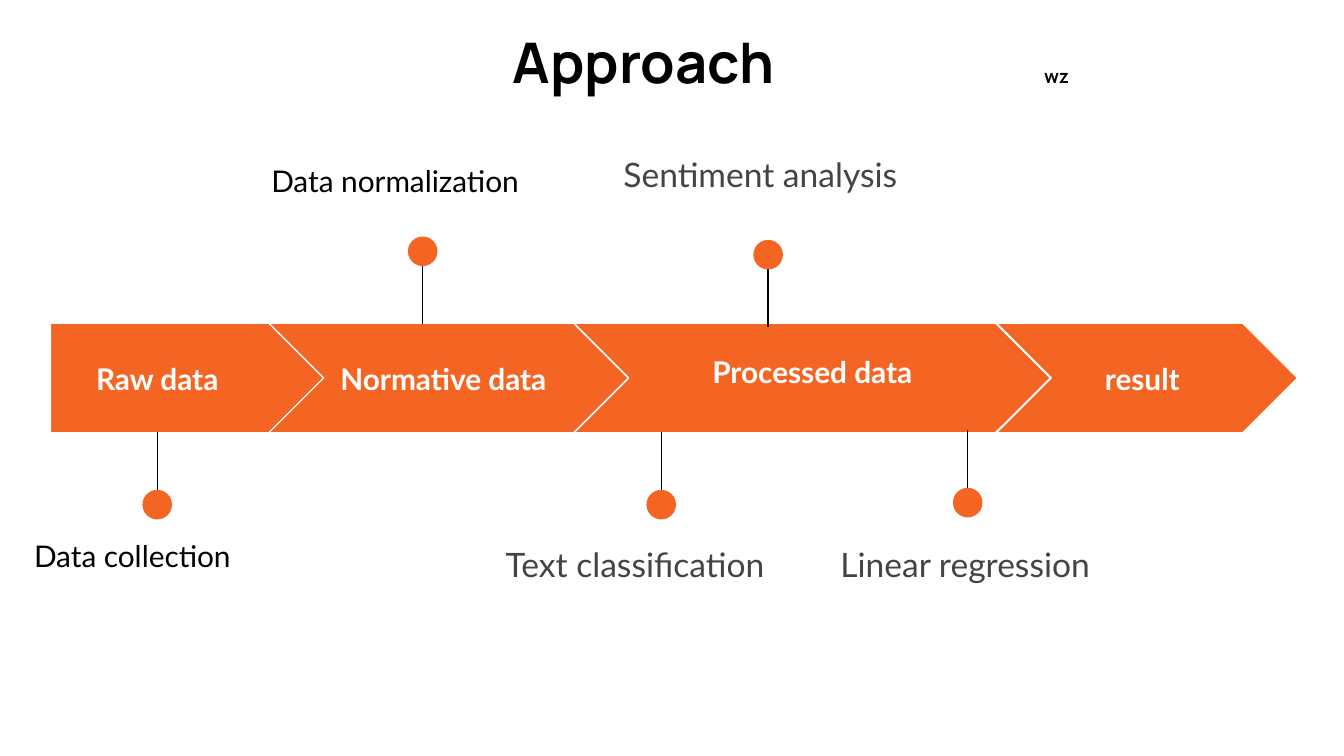
from lxml.etree import SubElement
from pptx import Presentation
from pptx.dml.color import RGBColor
from pptx.enum.shapes import MSO_CONNECTOR as Line, MSO_SHAPE as Shape
from pptx.enum.text import MSO_ANCHOR as Anchor, MSO_AUTO_SIZE as Fit, PP_ALIGN as Align
from pptx.oxml.ns import qn
from pptx.util import Pt

PX = 4572
PAGE = (2000, 1125)
COLORS = {"accent": "F46524", "white": "FFFFFF", "black": "000000", "gray": "444444"}
FRAME = {"word_wrap": True, "auto_size": Fit.NONE, "margin_left": 20 * PX,
         "margin_right": 20 * PX, "margin_top": 20 * PX, "margin_bottom": 20 * PX}
STAGE_FONT = {"name": "Lato", "size": Pt(16), "bold": True}
SMALL_NOTE = {"name": "Lato", "size": Pt(16)}
LARGE_NOTE = {"name": "Lato", "size": Pt(18)}
TITLE_FONT = {"name": "Manrope", "size": Pt(30), "bold": True}
TITLE_TABS = (351, 1142)
STAGE_TOP, STAGE_HEIGHT = 481, 163
DOT = 44
PIN_HEIGHT = 130
DOT_OVERLAP = 8

STAGES = [
    ("Raw data", Shape.PENTAGON, 75, 410, (75, 512, 318, 102)),
    ("Processed data", Shape.CHEVRON, 854, 709, (982, 502, 454, 102)),
    ("result", Shape.CHEVRON, 1483, 448, (1556, 512, 288, 102)),
    ("Normative data", Shape.CHEVRON, 400, 535, (436, 522, 448, 82)),
]
CALLOUTS = [
    ("Data normalization", (607, 352), True, (384, 214, 490, 130), SMALL_NOTE, "black"),
    ("Text classification", (962, 643), False, (733, 781, 534, 164), LARGE_NOTE, "gray"),
    ("Sentiment analysis", (1121, 357), True, (908, 200, 490, 118), LARGE_NOTE, "gray"),
    ("Linear regression", (1418, 640), False, (1231, 781, 490, 198), LARGE_NOTE, "gray"),
    ("Data collection", (212, 643), False, (31, 772, 534, 164), SMALL_NOTE, "black"),
]


def emu(box):
    return [value * PX for value in box]


def rgb(name):
    return RGBColor.from_string(COLORS[name])


def apply(target, values):
    for name, value in values.items():
        setattr(target, name, value)


def add_span(para, text, font, color):
    span = para.add_run()
    span.text = text
    apply(span.font, font)
    span.font.color.rgb = rgb(color)


def add_label(page, box, text, font, color, frame_format, para_format):
    frame = page.shapes.add_textbox(*emu(box)).text_frame
    apply(frame, FRAME | frame_format)
    para = frame.paragraphs[0]
    apply(para, para_format)
    add_span(para, text, font, color)


def add_solid(shapes, kind, box):
    shape = shapes.add_shape(kind, *emu(box))
    shape.shadow.inherit = False
    shape.fill.solid()
    shape.fill.fore_color.rgb = rgb("accent")
    return shape


def add_title(page, box):
    title = page.shapes.title
    apply(title, dict(zip(("left", "top", "width", "height"), emu(box))))
    apply(title.text_frame, FRAME | {"vertical_anchor": Anchor.TOP})
    para = title.text_frame.paragraphs[0]
    para.alignment = Align.LEFT
    tabs = SubElement(para._p.get_or_add_pPr(), qn("a:tabLst"))
    for stop in TITLE_TABS:
        SubElement(tabs, qn("a:tab"), pos=str(stop * PX), algn="l")
    add_span(para, "\tApproach\t", TITLE_FONT, "black")
    add_span(para, "wz", TITLE_FONT | {"size": Pt(10)}, "black")


def add_stage(page, text, kind, left, width, label_box):
    arrow = add_solid(page.shapes, kind, (left, STAGE_TOP, width, STAGE_HEIGHT))
    arrow.adjustments[0] = 0.5
    arrow.line.color.rgb = rgb("white")
    arrow.line.width = Pt(0.75)
    add_label(page, label_box, text, STAGE_FONT, "white",
              {"vertical_anchor": Anchor.MIDDLE}, {"alignment": Align.CENTER})


def add_pin(page, corner, dot_on_top):
    left, top = corner
    center = left + DOT // 2
    bottom = top + PIN_HEIGHT
    dot_top = top if dot_on_top else bottom - DOT
    start, end = (top + DOT_OVERLAP, bottom) if dot_on_top else (bottom - DOT_OVERLAP, top)
    shapes = page.shapes.add_group_shape().shapes
    stem = shapes.add_connector(Line.STRAIGHT, *emu((center, start, center, end)))
    stem.line.color.rgb = rgb("black")
    stem.line.width = Pt(0.75)
    SubElement(stem._element.spPr, qn("a:effectLst"))
    dot = add_solid(shapes, Shape.OVAL, (left, dot_top, DOT, DOT))
    dot.line.fill.background()


def add_callout(page, text, pin_corner, dot_on_top, label_box, font, color):
    add_pin(page, pin_corner, dot_on_top)
    add_label(page, label_box, text, font, color,
              {"vertical_anchor": Anchor.TOP}, {"line_spacing": 1.15})


def main():
    deck = Presentation()
    deck.slide_width, deck.slide_height = emu(PAGE)
    page = deck.slides.add_slide(deck.slide_layouts[5])
    add_title(page, (392, 21, 1382, 138))
    for stage in STAGES:
        add_stage(page, *stage)
    for callout in CALLOUTS:
        add_callout(page, *callout)
    deck.save("out.pptx")


if __name__ == "__main__":
    main()
